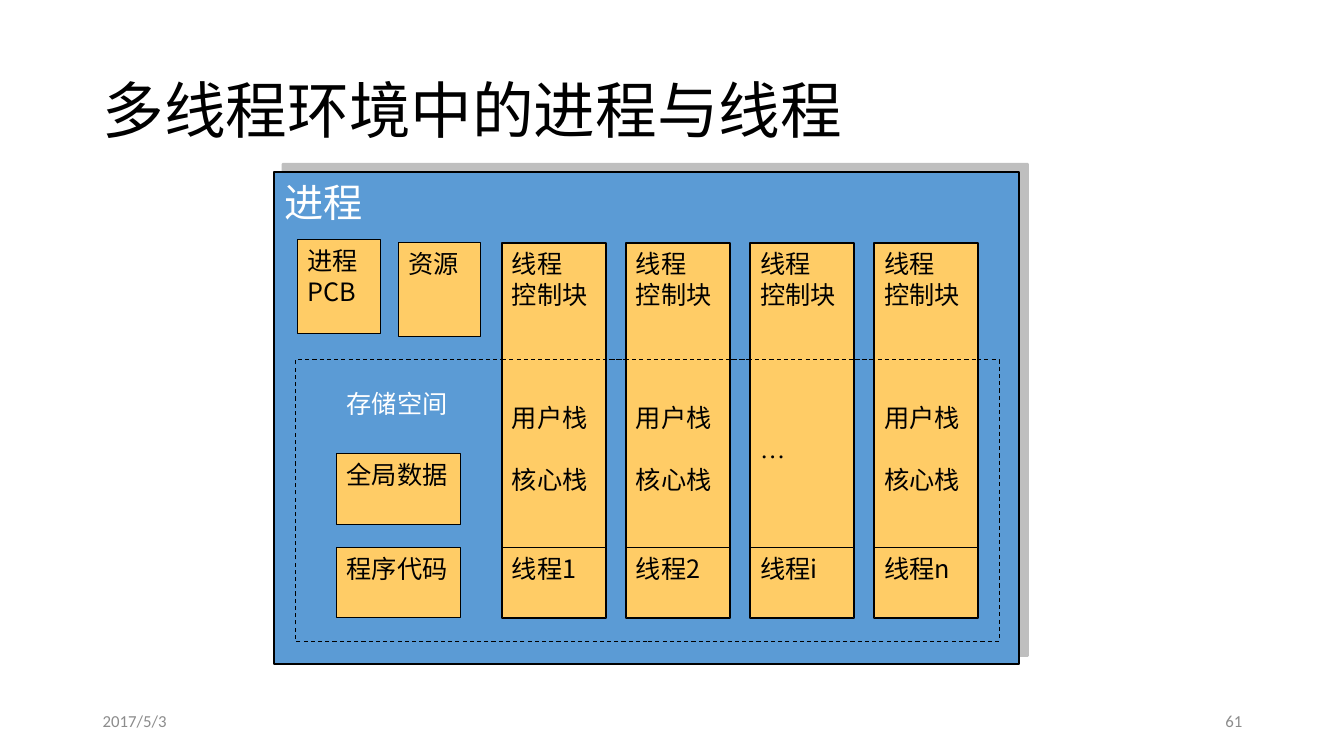
from lxml import etree
from pptx import Presentation
from pptx import util as u
from pptx.dml.color import RGBColor
from pptx.enum import dml, shapes, text
from pptx.oxml import parse_xml
from pptx.oxml.ns import nsdecls, qn

SANS, SERIF, LATIN = "Noto Sans CJK JP", "Times New Roman", "Calibri"
BLUE, ORANGE, BLACK, WHITE, GREY = "5B9BD5", "FFCC66", "000000", "FFFFFF", "8C8C8C"
COLUMN_LEFT, COLUMN_STEP, COLUMN_WIDTH = 4.98, 1.23, 1.03
COLUMN_TOP, CODE_TOP, LABEL_HEIGHT = 2.41, 5.43, 0.7
STORE_TOP = 3.57
LINE_RATIO = 22 / 18
STACKS = [("用户栈", SANS, 3), ("核心栈", SANS, 1)]
DOTS = [("…", SERIF, 4)]


def colour(value):
    """Turn a hex string into a colour."""
    return RGBColor.from_string(value)


def inches(*values):
    """Turn numbers into lengths."""
    return [u.Inches(value) for value in values]


def format_span(span, font, size, ink):
    """Set the font, size and colour of a span."""
    span.font.name = font
    span.font.size = u.Pt(size)
    span.font.color.rgb = colour(ink)
    if font != LATIN:
        etree.SubElement(span.font._element, qn("a:ea"), typeface=font)


def write(frame, lines, size=18, ink=BLACK, align=text.PP_ALIGN.LEFT):
    """Write (text, font, blank lines before) tuples at a fixed line pitch."""
    frame.word_wrap = True
    frame.vertical_anchor = text.MSO_ANCHOR.TOP
    pitch = size * LINE_RATIO
    for index, (words, font, gap) in enumerate(lines):
        para = frame.add_paragraph() if index else frame.paragraphs[0]
        para.alignment = align
        para.line_spacing = u.Pt(pitch)
        if gap:
            para.space_before = u.Pt(gap * pitch)
        span = para.add_run()
        span.text = words
        format_span(span, font, size, ink)


def add_label(page, place, words, size, ink, align=text.PP_ALIGN.LEFT, spacing=1.0):
    """Add a vertically centred text box."""
    frame = page.shapes.add_textbox(*inches(*place)).text_frame
    frame.word_wrap = True
    frame.vertical_anchor = text.MSO_ANCHOR.MIDDLE
    para = frame.paragraphs[0]
    para.alignment = align
    para.line_spacing = spacing
    span = para.add_run()
    span.text = words
    format_span(span, LATIN, size, ink)


def add_box(page, place, lines=(), fill=ORANGE, width=0.75, dashed=False, **style):
    """Add a rectangle, outlined unless its line width is zero."""
    box = page.shapes.add_shape(shapes.MSO_SHAPE.RECTANGLE, *inches(*place))
    box.shadow.inherit = False
    box.fill.solid()
    box.fill.fore_color.rgb = colour(fill)
    if width:
        style_line(box.line, width, dashed)
    else:
        box.line.fill.background()
    if lines:
        write(box.text_frame, lines, **style)
    return box


def style_line(line, width, dashed):
    """Make a line black with the given width."""
    line.color.rgb = colour(BLACK)
    line.width = u.Pt(width)
    if dashed:
        line.dash_style = dml.MSO_LINE.DASH


def add_rule(page, left, right, top, width, dashed=False):
    """Add a horizontal line."""
    rule = page.shapes.add_connector(
        shapes.MSO_CONNECTOR.STRAIGHT, *inches(left, top, right, top))
    style_line(rule.line, width, dashed)
    etree.SubElement(rule._element.spPr, qn("a:effectLst"))


def cast_shadow(box):
    """Give a box a hard grey shadow towards the upper right."""
    effects = box._element.spPr.find(qn("a:effectLst"))
    effects.append(parse_xml(
        f'<a:outerShdw {nsdecls("a")} dist="{u.Pt(8.5)}" dir="{315 * 60000}" algn="ctr" '
        'rotWithShape="0"><a:srgbClr val="808080"><a:alpha val="50000"/>'
        '</a:srgbClr></a:outerShdw>'))


def add_thread(page, index, name, stacks):
    """Add one thread column with its name at the foot."""
    left = COLUMN_LEFT + index * COLUMN_STEP
    height = CODE_TOP + LABEL_HEIGHT - COLUMN_TOP
    heading = [("线程", SANS, 0), ("控制块", SANS, 0)]
    add_box(page, (left, COLUMN_TOP, COLUMN_WIDTH, height), heading + stacks, width=1.5)
    add_box(page, (left, CODE_TOP, COLUMN_WIDTH, LABEL_HEIGHT), [(name, SANS, 0)])


def main():
    """Build the slide and save it."""
    deck = Presentation()
    deck.slide_width, deck.slide_height = inches(13.33, 7.5)
    page = deck.slides.add_slide(deck.slide_layouts[6])

    add_label(page, (0.92, 0.4, 11.5, 1.45), "多线程环境中的进程与线程", 44, BLACK, spacing=0.9)
    add_label(page, (0.92, 6.95, 3, 0.4), "2017/5/3", 12, GREY)
    add_label(page, (9.42, 6.95, 3, 0.4), "61", 12, GREY, text.PP_ALIGN.RIGHT)

    process = add_box(page, (2.72, 1.71, 7.39, 4.88), [("进程", SANS, 0)],
                      fill=BLUE, width=1.5, size=28, ink=WHITE)
    cast_shadow(process)
    add_rule(page, COLUMN_LEFT, 9.5, 1.71, 1.5)
    add_box(page, (2.95, 2.38, 0.82, 0.93), [("进程PCB", SANS, 0)])
    add_box(page, (3.95, COLUMN_TOP, 0.82, 0.93), [("资源", SANS, 0)])

    add_box(page, (2.93, STORE_TOP, 6.98, 2.79), fill=BLUE, dashed=True)
    add_box(page, (3.34, 3.8, 1.23, LABEL_HEIGHT), [("存储空间", SANS, 0)],
            fill=BLUE, width=0, ink=WHITE)
    for top, name in [(4.5, "全局数据"), (CODE_TOP, "程序代码")]:
        add_box(page, (3.34, top, 1.23, LABEL_HEIGHT), [(name, SANS, 0)])

    threads = [("线程1", STACKS), ("线程2", STACKS), ("线程i", DOTS), ("线程n", STACKS)]
    for index, (name, stacks) in enumerate(threads):
        add_thread(page, index, name, stacks)
    add_rule(page, COLUMN_LEFT, 9.7, STORE_TOP, 0.75, dashed=True)

    deck.save("out.pptx")


if __name__ == "__main__":
    main()
